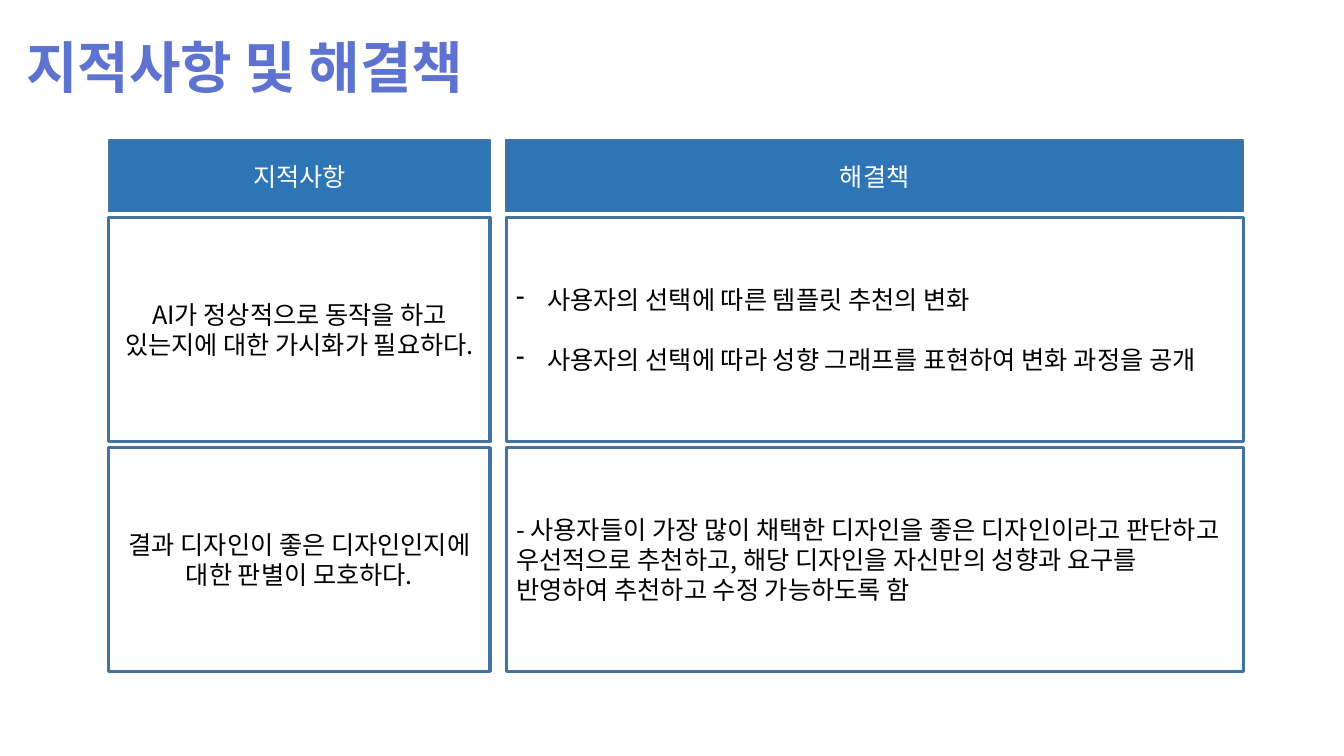
import pptx
import pptx.dml.color
import pptx.enum.shapes
import pptx.enum.text
import pptx.oxml.ns
import pptx.util
from lxml import etree

Inches = pptx.util.Inches
Pt = pptx.util.Pt
ALIGN = pptx.enum.text.PP_ALIGN
BODY_FONT = "Noto Sans CJK KR"


def color(value):
    return pptx.dml.color.RGBColor.from_string(value)


def add_text(para, text, hue, formats):
    span = para.add_run()
    span.text = text
    for name, value in formats.items():
        setattr(span.font, name, value)
    span.font.color.rgb = color(hue)
    east_asian = etree.SubElement(span.font._element, pptx.oxml.ns.qn("a:ea"))
    east_asian.set("typeface", BODY_FONT)


deck = pptx.Presentation()
deck.slide_width = Inches(13.33)
deck.slide_height = Inches(7.5)
page = deck.slides.add_slide(deck.slide_layouts[6])

title = page.shapes.add_textbox(Inches(0), Inches(0.27), Inches(5.56), Inches(0.81))
title.text_frame.word_wrap = True
title.text_frame.margin_left = Inches(0.26)
title_format = {"name": "Arial", "size": Pt(40), "bold": True}
add_text(title.text_frame.paragraphs[0], "지적사항 및 해결책", "5D73CF", title_format)

columns = [(1.08, 3.78), (5.02, 7.31)]
rows = [
    (1.39, 0.71, "2E75B6", "FFFFFF", 1, [["지적사항"], ["해결책"]]),
    (2.16, 2.22, "FFFFFF", "000000", 2.25, [
        ["AI가 정상적으로 동작을 하고 있는지에 대한 가시화가 필요하다."],
        ["사용자의 선택에 따른 템플릿 추천의 변화",
         "사용자의 선택에 따라 성향 그래프를 표현하여 변화 과정을 공개"],
    ]),
    (4.44, 2.22, "FFFFFF", "000000", 2.25, [
        ["결과 디자인이 좋은 디자인인지에 대한 판별이 모호하다."],
        ["- 사용자들이 가장 많이 채택한 디자인을 좋은 디자인이라고 판단하고 "
         "우선적으로 추천하고, 해당 디자인을 자신만의 성향과 요구를 반영하여 "
         "추천하고 수정 가능하도록 함"],
    ]),
]
body_format = {"name": BODY_FONT, "size": Pt(18)}

for top, height, fill, ink, border, cells in rows:
    for column, ((left, width), lines) in enumerate(zip(columns, cells)):
        box = page.shapes.add_shape(
            pptx.enum.shapes.MSO_SHAPE.RECTANGLE,
            Inches(left), Inches(top), Inches(width), Inches(height))
        box.shadow.inherit = False
        box.fill.solid()
        box.fill.fore_color.rgb = color(fill)
        box.line.color.rgb = color("43739E")
        box.line.width = Pt(border)
        frame = box.text_frame
        frame.word_wrap = True
        frame.vertical_anchor = pptx.enum.text.MSO_ANCHOR.MIDDLE
        is_solution = column == 1 and ink == "000000"
        for index, line in enumerate(lines):
            para = frame.add_paragraph() if index else frame.paragraphs[0]
            para.alignment = ALIGN.LEFT if is_solution else ALIGN.CENTER
            if index:
                para.space_before = Pt(21.5)
            if len(lines) > 1:
                settings = para._p.get_or_add_pPr()
                settings.set("marL", str(Inches(0.31)))
                settings.set("indent", str(-Inches(0.31)))
                bullet = etree.SubElement(settings, pptx.oxml.ns.qn("a:buChar"))
                bullet.set("char", "-")
            add_text(para, line, ink, body_format)

deck.save("out.pptx")
